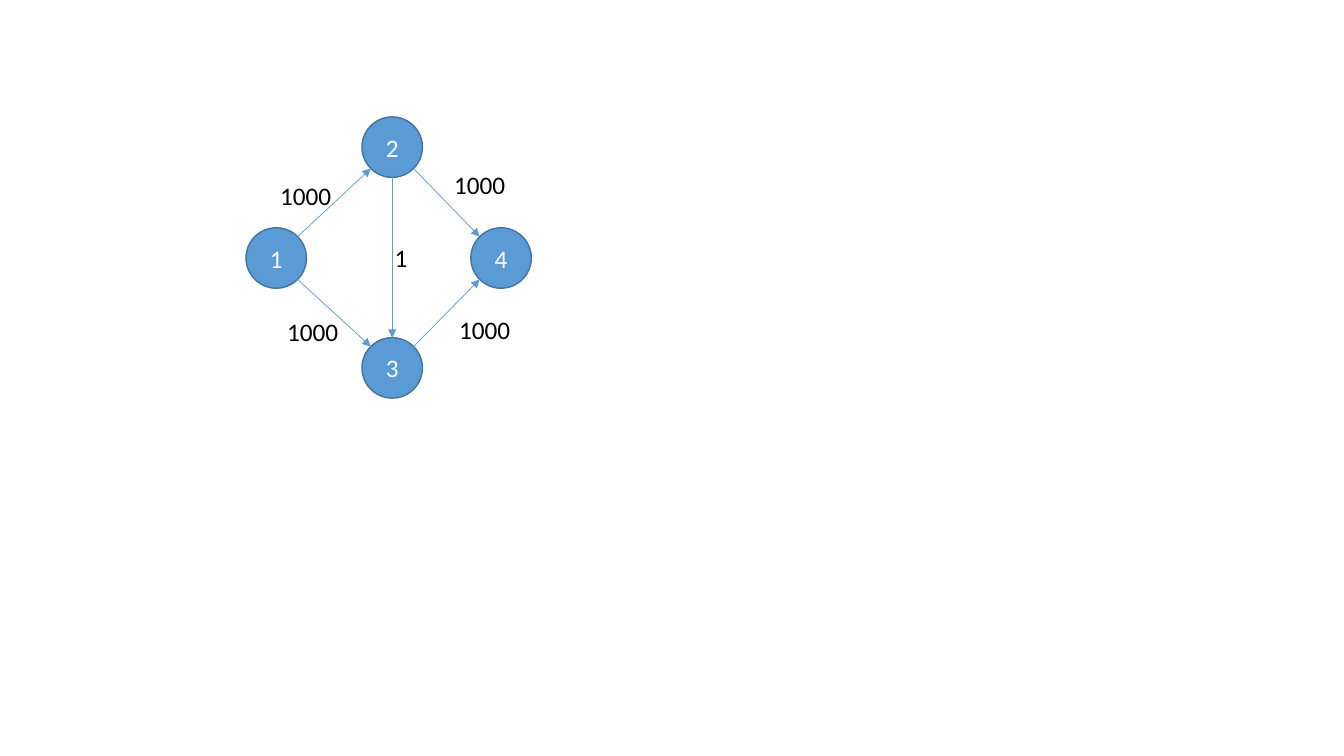
import math

import pptx
import pptx.dml.color
import pptx.enum.shapes
import pptx.enum.text
import pptx.oxml
import pptx.oxml.ns
import pptx.util

Inches = pptx.util.Inches
Pt = pptx.util.Pt

COLUMNS = (2.74, 3.89, 4.97)
ROWS = (1.46, 2.56, 3.65)
DIAMETER = 0.6
LABEL_HEIGHT = 0.4
FONT, FONT_SIZE = "Calibri", 18

# Node name: column and row of its centre
NODES = {"1": (0, 1), "2": (1, 0), "4": (2, 1), "3": (1, 2)}
# Start, end, capacity, label width, label offset from the middle of the edge
EDGES = (
    ("1", "2", "1000", 0.71, (-0.28, -0.07)),
    ("1", "3", "1000", 0.71, (-0.21, 0.18)),
    ("3", "4", "1000", 0.71, (0.38, 0.16)),
    ("2", "4", "1000", 0.71, (0.33, -0.18)),
    ("2", "3", "1", 0.33, (0.09, 0)),
)


def color(hex_string):
    return pptx.dml.color.RGBColor.from_string(hex_string)


def center_of(node):
    column, row = NODES[node]
    return COLUMNS[column], ROWS[row]


def box_around(center, width, height):
    x, y = center
    return [Inches(v) for v in (x - width / 2, y - height / 2, width, height)]


def write(text_frame, text, hex_string):
    paragraph = text_frame.paragraphs[0]
    run = paragraph.add_run()
    run.text = text
    run.font.name = FONT
    run.font.size = Pt(FONT_SIZE)
    run.font.color.rgb = color(hex_string)
    return paragraph


def add_node(slide, name):
    shape = slide.shapes.add_shape(
        pptx.enum.shapes.MSO_SHAPE.OVAL,
        *box_around(center_of(name), DIAMETER, DIAMETER))
    shape.shadow.inherit = False
    shape.fill.solid()
    shape.fill.fore_color.rgb = color("5B9BD5")
    shape.line.color.rgb = color("43739E")
    shape.line.width = Pt(1)
    shape.text_frame.vertical_anchor = pptx.enum.text.MSO_ANCHOR.MIDDLE
    paragraph = write(shape.text_frame, name, "FFFFFF")
    paragraph.alignment = pptx.enum.text.PP_ALIGN.CENTER


def rim_point(node, other):
    """Point on the node's rim, at a multiple of 45 degrees, facing the other node."""
    (x, y), (other_x, other_y) = center_of(node), center_of(other)
    step_x = (other_x > x) - (other_x < x)
    step_y = (other_y > y) - (other_y < y)
    reach = DIAMETER / 2 / math.hypot(step_x, step_y)
    return Inches(x + step_x * reach), Inches(y + step_y * reach)


def add_arrow(slide, start, end):
    connector = slide.shapes.add_connector(
        pptx.enum.shapes.MSO_CONNECTOR.STRAIGHT,
        *rim_point(start, end), *rim_point(end, start))
    connector.line.color.rgb = color("5B9BD5")
    connector.line.width = Pt(0.5)
    properties = connector.element.spPr
    namespace = pptx.oxml.ns.nsdecls("a")
    line = properties.find(pptx.oxml.ns.qn("a:ln"))
    line.append(pptx.oxml.parse_xml(f'<a:tailEnd {namespace} type="triangle"/>'))
    properties.append(pptx.oxml.parse_xml(f"<a:effectLst {namespace}/>"))


def add_label(slide, start, end, text, width, offset):
    middle = [(a + b) / 2 + shift for a, b, shift
              in zip(center_of(start), center_of(end), offset)]
    box = slide.shapes.add_textbox(*box_around(middle, width, LABEL_HEIGHT))
    box.text_frame.word_wrap = False
    box.text_frame.auto_size = pptx.enum.text.MSO_AUTO_SIZE.SHAPE_TO_FIT_TEXT
    write(box.text_frame, text, "000000")


def main():
    presentation = pptx.Presentation()
    presentation.slide_width = Inches(13.33)
    presentation.slide_height = Inches(7.5)
    slide = presentation.slides.add_slide(presentation.slide_layouts[6])
    for name in NODES:
        add_node(slide, name)
    for start, end, capacity, width, offset in EDGES:
        add_arrow(slide, start, end)
        add_label(slide, start, end, capacity, width, offset)
    presentation.save("out.pptx")


if __name__ == "__main__":
    main()
